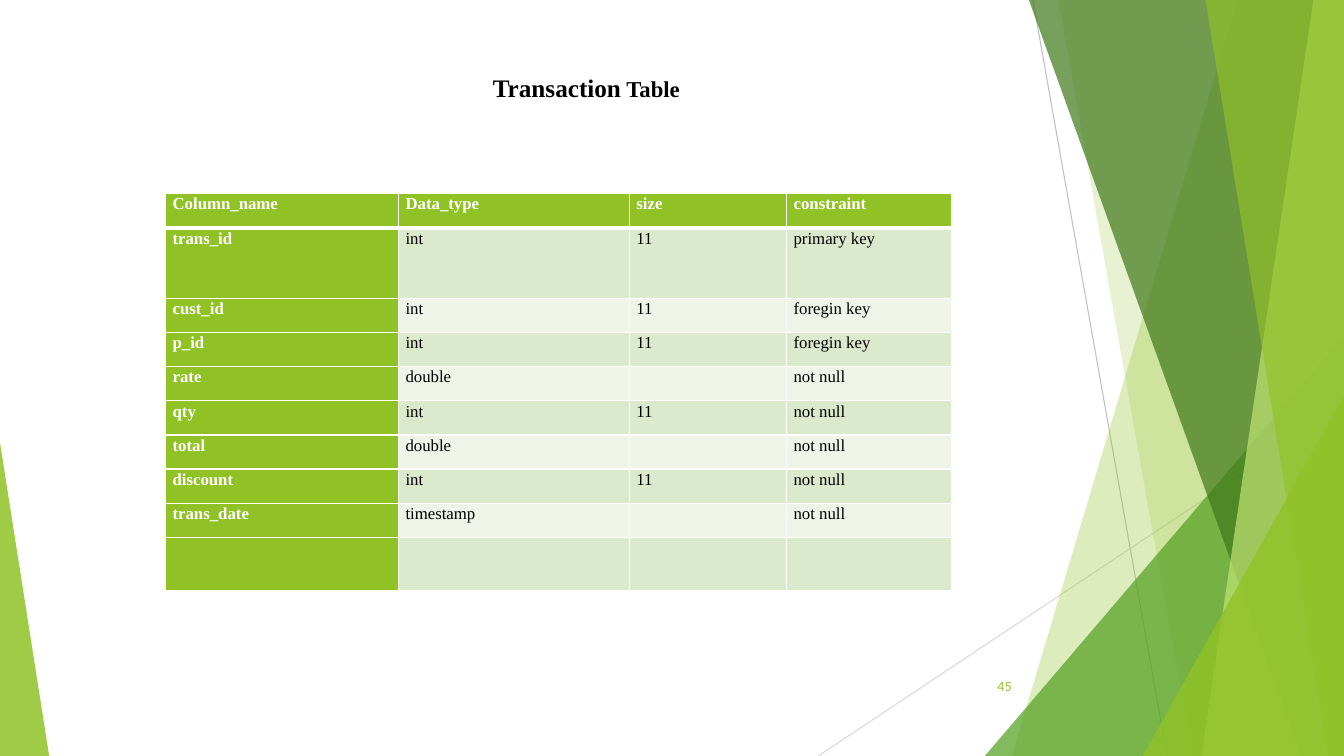
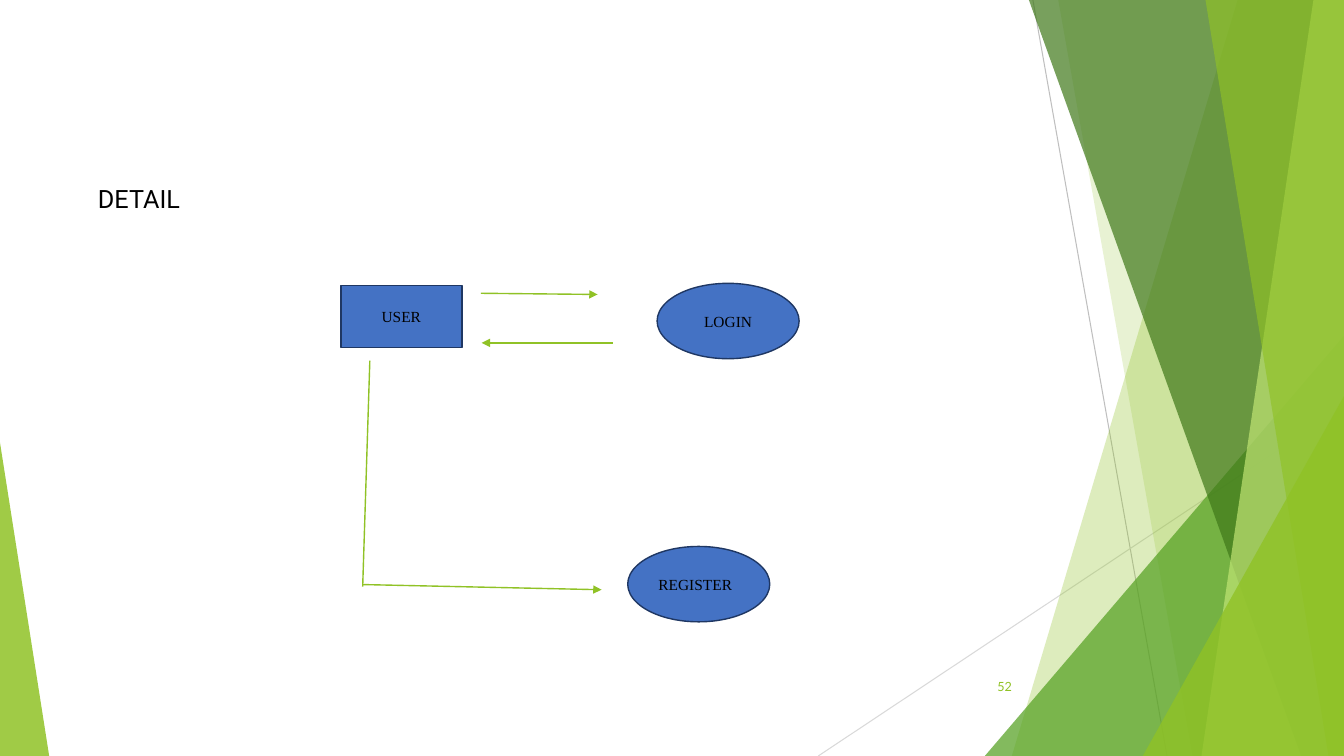
from dataclasses import dataclass

from lxml import etree
from pptx import Presentation
from pptx import util as u
from pptx.dml import color as dml
from pptx.enum import shapes, text
from pptx.oxml import ns


@dataclass(frozen=True)
class Theme:
    green: str = "90C226"
    mid_green: str = "54A021"
    dark_green: str = "3F7819"
    pale_green: str = "C0E474"
    row_tints: tuple[str, str] = ("DBE9CD", "EEF4E8")
    grey: str = "BFBFBF"
    light_grey: str = "D9D9D9"
    blue: str = "4472C4"
    navy: str = "1F3763"
    black: str = "000000"
    white: str = "FFFFFF"
    serif: str = "Times New Roman"
    sans: str = "Roboto"
    number_font: str = "Lato"
    heading_size: float = 18
    small_heading_size: float = 16.2
    cell_size: float = 12
    node_size: float = 11
    number_size: float = 9


THEME = Theme()
# All lengths below are centimetres.
WIDTH, HEIGHT = 33.87, 19.05


@dataclass(frozen=True)
class Band:
    """Full-height area between a slanted left edge and the right slide edge."""
    top_x: float
    bottom_x: float
    color: str
    alpha: int


@dataclass(frozen=True)
class Wedge:
    """Right triangle standing on the bottom edge; apex is 0 (left) or 1 (right)."""
    left: float
    top: float
    width: float
    apex: int
    color: str
    alpha: int


@dataclass(frozen=True)
class Line:
    start: tuple[float, float]
    end: tuple[float, float]
    color: str = THEME.green
    weight: float = 1
    arrow: bool = True


@dataclass(frozen=True)
class Node:
    label: str
    kind: shapes.MSO_SHAPE
    left: float
    top: float
    width: float
    height: float
    align: text.PP_ALIGN = text.PP_ALIGN.CENTER


BACKDROP_LINES = (
    Line((26.03, 0), (29.41, HEIGHT), THEME.grey, 0.75, False),
    Line((WIDTH, 10.24), (20.62, HEIGHT), THEME.light_grey, 0.75, False),
)
BACKDROP_AREAS = (
    Band(31.19, 25.5, THEME.green, 30),
    Band(26.67, 30.05, THEME.green, 20),
    Wedge(24.82, 8.46, WIDTH - 24.82, 1, THEME.mid_green, 72),
    Band(25.93, 32.79, THEME.dark_green, 70),
    Band(33.1, 30.28, THEME.pale_green, 70),
    Band(30.38, 33.48, THEME.green, 65),
    Wedge(28.8, 9.98, WIDTH - 28.8, 1, THEME.green, 80),
    Wedge(0, 11.15, 1.24, 0, THEME.green, 85),
)

COLUMN_WIDTHS = (5.87, 5.82, 3.96, 4.17)
ROW_HEIGHTS = (0.86, 1.78, *[0.86] * 7, 1.35)
TRANSACTION_ROWS = (
    ("Column_name", "Data_type", "size", "constraint"),
    ("trans_id", "int", "11", "primary key"),
    ("cust_id", "int", "11", "foregin key"),
    ("p_id", "int", "11", "foregin key"),
    ("rate", "double", "", "not null"),
    ("qty", "int", "11", "not null"),
    ("total", "double", "", "not null"),
    ("discount", "int", "11", "not null"),
    ("trans_date", "timestamp", "", "not null"),
    ("", "", "", ""),
)

OVAL = shapes.MSO_SHAPE.OVAL
NODES = (
    Node("USER", shapes.MSO_SHAPE.RECTANGLE, 8.59, 7.19, 3.05, 1.57),
    Node("LOGIN", OVAL, 16.56, 7.14, 3.58, 1.9),
    Node("REGISTER", OVAL, 15.82, 13.77, 3.58, 1.9, text.PP_ALIGN.LEFT),
)
FLOW_LINES = (
    Line((12.12, 7.39), (15.06, 7.42)),
    Line((15.44, 8.64), (12.14, 8.64)),
    Line((9.32, 9.09), (9.14, 14.78), arrow=False),
    Line((9.14, 14.73), (15.16, 14.86)),
)


def rgb(value: str) -> dml.RGBColor:
    return dml.RGBColor.from_string(value)


def add_element(parent, tag: str, **attributes: str):
    return etree.SubElement(parent, ns.qn(tag), attributes)


def add_span(para, content: str, *, size: float, font: str = THEME.serif,
             color: str = THEME.black, bold: bool = False) -> None:
    span = para.add_run()
    span.text = content
    span.font.size = u.Pt(size)
    span.font.name = font
    span.font.bold = bold
    span.font.color.rgb = rgb(color)


def add_box(page, left: float, top: float, width: float, height: float, *,
            inset: float = 0.25, anchor=text.MSO_ANCHOR.TOP,
            align=text.PP_ALIGN.LEFT):
    """Add a text box and return its first paragraph."""
    box = page.shapes.add_textbox(*map(u.Cm, (left, top, width, height)))
    frame = box.text_frame
    frame.word_wrap = True
    frame.margin_left = u.Cm(inset)
    frame.vertical_anchor = anchor
    frame.paragraphs[0].alignment = align
    return frame.paragraphs[0]


def draw_line(page, line: Line) -> None:
    connector = page.shapes.add_connector(
        shapes.MSO_CONNECTOR.STRAIGHT, *map(u.Cm, (*line.start, *line.end)))
    connector.line.color.rgb = rgb(line.color)
    connector.line.width = u.Pt(line.weight)
    properties = connector.element.spPr
    if line.arrow:
        add_element(properties.find(ns.qn("a:ln")), "a:tailEnd", type="triangle")
    add_element(properties, "a:effectLst")


def draw_area(page, area: Band | Wedge) -> None:
    if isinstance(area, Band):
        corners = ((WIDTH, 0), (WIDTH, HEIGHT), (area.bottom_x, HEIGHT))
        builder = page.shapes.build_freeform(u.Cm(area.top_x), 0)
        builder.add_line_segments([(u.Cm(x), u.Cm(y)) for x, y in corners])
        shape = builder.convert_to_shape()
    else:
        shape = page.shapes.add_shape(
            shapes.MSO_SHAPE.ISOSCELES_TRIANGLE,
            *map(u.Cm, (area.left, area.top, area.width, HEIGHT - area.top)))
        shape.adjustments[0] = area.apex
    shape.shadow.inherit = False
    shape.line.fill.background()
    shape.fill.solid()
    shape.fill.fore_color.rgb = rgb(area.color)
    tint = shape.element.spPr.find(".//" + ns.qn("a:srgbClr"))
    add_element(tint, "a:alpha", val=str(area.alpha * 1000))


def move_to_layout(page) -> None:
    """Make the page's shapes the backdrop of its layout."""
    layout = page.slide_layout
    for holder in list(layout.placeholders):
        layout.shapes.element.remove(holder.element)
    for shape in list(page.shapes):
        layout.shapes.element.append(shape.element)


def draw_number(page, number: int) -> None:
    para = add_box(page, 23.85, 16.79, 1.9, 1.02,
                   anchor=text.MSO_ANCHOR.MIDDLE, align=text.PP_ALIGN.RIGHT)
    add_span(para, str(number), size=THEME.number_size,
             font=THEME.number_font, color=THEME.green)


def draw_borders(cell, **weights: float) -> None:
    """Add white borders; weights are points by tag, in schema order."""
    for side, weight in weights.items():
        border = add_element(cell._tc.get_or_add_tcPr(), f"a:{side}",
                             w=str(u.Pt(weight)))
        add_element(add_element(border, "a:solidFill"), "a:srgbClr", val=THEME.white)


def fill_cell(cell, content: str, row: int, column: int) -> None:
    heading = row == 0 or column == 0
    draw_borders(cell, lnL=1, lnR=1, lnT=3 if row == 1 else 1, lnB=3 if row == 0 else 1)
    cell.fill.solid()
    cell.fill.fore_color.rgb = rgb(
        THEME.green if heading else THEME.row_tints[(row - 1) % 2])
    cell.margin_left = cell.margin_right = u.Cm(0.18)
    cell.margin_top = cell.margin_bottom = 0
    if content:
        para = cell.text_frame.paragraphs[0]
        para.line_spacing = 1.07
        para.space_after = u.Pt(8)
        add_span(para, content, size=THEME.cell_size, bold=heading,
                 color=THEME.white if heading else THEME.black)


def draw_table(page) -> None:
    table = page.shapes.add_table(
        len(ROW_HEIGHTS), len(COLUMN_WIDTHS), u.Cm(4.17), u.Cm(4.88),
        u.Cm(sum(COLUMN_WIDTHS)), u.Cm(sum(ROW_HEIGHTS))).table
    for column, width in zip(table.columns, COLUMN_WIDTHS):
        column.width = u.Cm(width)
    for row, height in zip(table.rows, ROW_HEIGHTS):
        row.height = u.Cm(height)
    for r, contents in enumerate(TRANSACTION_ROWS):
        for c, content in enumerate(contents):
            fill_cell(table.cell(r, c), content, r, c)


def draw_node(page, node: Node) -> None:
    shape = page.shapes.add_shape(
        node.kind, *map(u.Cm, (node.left, node.top, node.width, node.height)))
    shape.shadow.inherit = False
    shape.fill.solid()
    shape.fill.fore_color.rgb = rgb(THEME.blue)
    shape.line.color.rgb = rgb(THEME.navy)
    shape.line.width = u.Pt(1)
    shape.text_frame.vertical_anchor = text.MSO_ANCHOR.MIDDLE
    para = shape.text_frame.paragraphs[0]
    para.alignment = node.align
    add_span(para, node.label, size=THEME.node_size)


def draw_transaction_page(page) -> None:
    title = add_box(page, 1.88, 1.7, 23.88, 1.45, inset=10.54)
    add_span(title, "Transaction", size=THEME.heading_size, bold=True)
    add_span(title, " Table", size=THEME.small_heading_size, bold=True)
    draw_table(page)
    draw_number(page, 45)


def draw_detail_page(page) -> None:
    body = add_box(page, 2.06, 4.5, 23.88, 13.39, inset=0.41)
    add_span(body, "DETAIL", size=THEME.heading_size, font=THEME.sans)
    for node in NODES:
        draw_node(page, node)
    for line in FLOW_LINES:
        draw_line(page, line)
    draw_number(page, 52)


def main() -> None:
    deck = Presentation()
    deck.slide_width, deck.slide_height = u.Cm(WIDTH), u.Cm(HEIGHT)
    blank = deck.slide_layouts[6]
    transaction_page = deck.slides.add_slide(blank)
    for line in BACKDROP_LINES:
        draw_line(transaction_page, line)
    for area in BACKDROP_AREAS:
        draw_area(transaction_page, area)
    move_to_layout(transaction_page)
    draw_transaction_page(transaction_page)
    draw_detail_page(deck.slides.add_slide(blank))
    deck.save("out.pptx")


if __name__ == "__main__":
    main()
